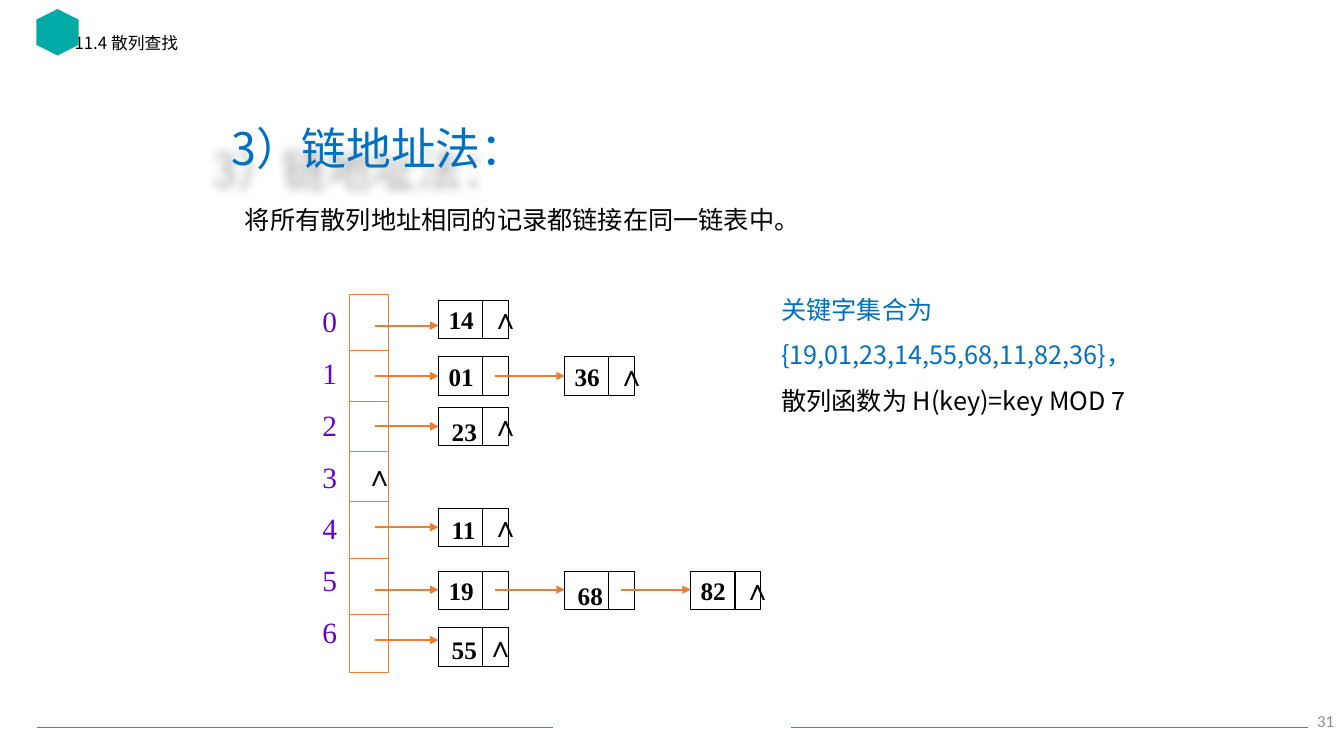
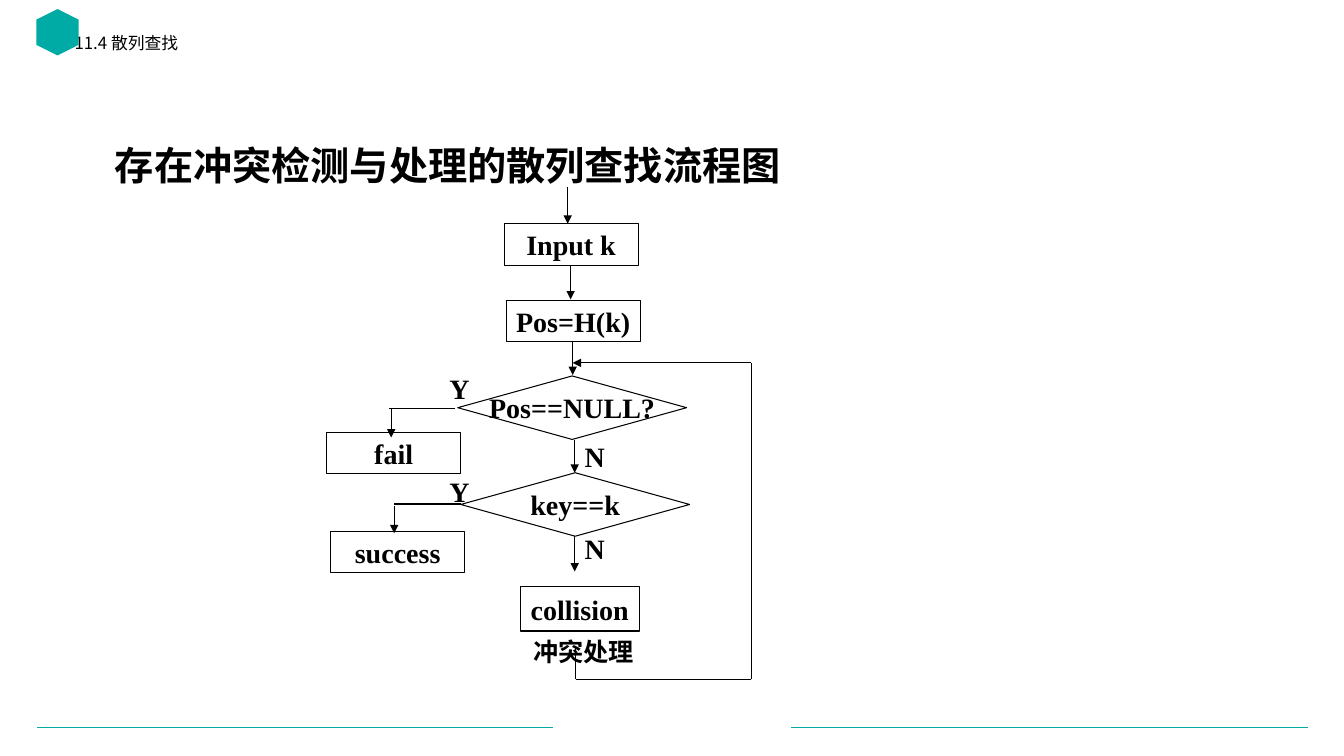
import pptx
import pptx.dml.color
import pptx.enum.shapes
import pptx.enum.text
import pptx.oxml.ns
import pptx.util
import lxml.etree

COLS, ROWS = 13.33, 7.5  # grid of one-inch cells
CELL = pptx.util.Inches(1)
TEAL, BLUE, ORANGE = "00ABA5", "0070C0", "ED7D31"
PURPLE, GRAY, BLACK = "6600CC", "8C8C8C", "000000"
HAN, ROMAN, SANS = "Noto Sans CJK SC", "Times New Roman", "Calibri"

FORM = pptx.enum.shapes.MSO_SHAPE
ALIGN = pptx.enum.text.PP_ALIGN
ANCHOR = pptx.enum.text.MSO_ANCHOR

# Chained hash table
SLOT_LEFT, SLOT_WIDE = 3.47, 0.38
SLOT_TOPS = [2.92, 3.48, 3.98, 4.48, 4.98, 5.54, 6.1, 6.67]
NODE_LEFT, NODE_STEP, NODE_WIDE, NODE_HIGH = 4.35, 1.25, 0.69, 0.38
CHAINS = [  # node top, arrow height, keys
    (2.98, 3.23, ["14"]),
    (3.54, 3.73, ["01", "36"]),
    (4.04, 4.23, ["23"]),
    (5.04, 5.23, ["11"]),
    (5.67, 5.85, ["19", "68", "82"]),
    (6.23, 6.35, ["55"]),
]
NUDGE = {"23": (0.03, 0.05), "11": (0.03, 0.02),
         "68": (0.03, 0.05), "55": (0.03, 0.02)}

# Flow chart
STEP_SIZE, TEST_SIZE = (1.33, 0.41), (2.27, 0.63)
STEPS = [
    ("Input k", 5, 2.22, STEP_SIZE),
    ("Pos=H(k)", 5.02, 2.98, STEP_SIZE),
    ("fail", 3.24, 4.29, STEP_SIZE),
    ("success", 3.28, 5.27, STEP_SIZE),
    ("collision", 5.16, 5.82, (1.18, 0.44)),
]
TESTS = [("Pos==NULL?", 4.54, 3.73), ("key==k", 4.57, 4.69)]
ANSWERS = [("Y", 4.36, 3.64), ("N", 5.7, 4.31),
           ("Y", 4.36, 4.66), ("N", 5.7, 5.22)]
DROPS = [(5.63, 1.86, 2.22), (5.66, 2.63, 2.97), (5.68, 3.38, 3.72),
         (5.7, 4.37, 4.69), (5.7, 5.32, 5.67),
         (3.88, 4.05, 4.34), (3.91, 5.02, 5.29)]
EXITS = [(4.51, 3.86, 4.05), (4.57, 3.91, 5)]
LOOP = [(5.71, 6.42), (5.71, 6.74), (7.45, 6.74), (7.45, 3.6), (5.68, 3.6)]


def span(*cells):
    return [int(n * CELL) for n in cells]


def tint(code):
    return pptx.dml.color.RGBColor.from_string(code)


def tag(parent, name, **attrs):
    return lxml.etree.SubElement(parent, pptx.oxml.ns.qn(name), attrs)


def word(frame, text, size=18, font=HAN, hue=BLACK, bold=False,
         align=ALIGN.LEFT, anchor=ANCHOR.TOP, wrap=True, indent=0,
         lead=None, after=0, shift=(0, 0)):
    """Fill a text frame, one paragraph a line; hue may list one colour a line."""
    frame.auto_size = pptx.enum.text.MSO_AUTO_SIZE.NONE
    frame.word_wrap, frame.vertical_anchor = wrap, anchor
    across, down = shift
    frame.margin_left, frame.margin_right = span(0.1 + across, 0.1)
    frame.margin_top, frame.margin_bottom = span(0.05 + 2 * down, 0.05)
    lines = text.split("\n")
    hues = hue if isinstance(hue, list) else [hue] * len(lines)
    for i, (line, code) in enumerate(zip(lines, hues)):
        para = frame.add_paragraph() if i else frame.paragraphs[0]
        para.alignment = align
        para.space_before = pptx.util.Pt(0)
        para.space_after = pptx.util.Pt(after)
        if lead:
            para.line_spacing = lead
        props = para._p.get_or_add_pPr()
        props.set("marL", str(int(indent * CELL)))
        props.set("indent", "0")
        tag(props, "a:buNone")
        run = para.add_run()
        run.text = line
        run.font.size, run.font.name = pptx.util.Pt(size), font
        run.font.bold, run.font.color.rgb = bold, tint(code)
        tag(run._r.get_or_add_rPr(), "a:ea", typeface=HAN)


def note(slide, text, left, top, wide, high, **form):
    box = slide.shapes.add_textbox(*span(left, top, wide, high))
    word(box.text_frame, text, **form)
    return box


def fill(holder, text, left, top, wide, high, **form):
    """Move a placeholder and give it its text."""
    holder.left, holder.top, holder.width, holder.height = span(
        left, top, wide, high)
    word(holder.text_frame, text, **form)


def box(slide, kind, left, top, wide, high, edge=BLACK, paint=None):
    shape = slide.shapes.add_shape(kind, *span(left, top, wide, high))
    shape.shadow.inherit = False
    if paint:
        shape.fill.solid()
        shape.fill.fore_color.rgb = tint(paint)
    else:
        shape.fill.background()
    if edge:
        shape.line.color.rgb = tint(edge)
        shape.line.width = pptx.util.Pt(0.75)
    else:
        shape.line.fill.background()
    return shape


def rule(slide, start, end, hue=BLACK, thick=0.75, arrow=False):
    line = slide.shapes.add_connector(
        pptx.enum.shapes.MSO_CONNECTOR.STRAIGHT, *span(*start, *end))
    line.line.color.rgb = tint(hue)
    line.line.width = pptx.util.Pt(thick)
    if arrow:
        tag(line.line._get_or_add_ln(), "a:tailEnd", type="triangle")
    tag(line._element.spPr, "a:effectLst")


def glow(shape):
    """Cast a soft shadow down and to the left."""
    effects = tag(shape._element.spPr, "a:effectLst")
    cast = tag(effects, "a:outerShdw", blurRad=str(int(0.1 * CELL)),
               dist=str(int(0.28 * CELL)), dir="8100000",
               algn="tr", rotWithShape="0")
    tag(tag(cast, "a:srgbClr", val=BLACK), "a:alpha", val="35000")


def page(deck):
    """Add a slide with the section title, the mark and the foot lines."""
    slide = deck.slides.add_slide(deck.slide_layouts[1])
    for left, right in ((0.37, 5.48), (7.85, 12.97)):
        rule(slide, (left, 7.22), (right, 7.22), TEAL, 0.5)
    mark = box(slide, FORM.HEXAGON, 0.34, 0.11, 0.46, 0.42,
               edge=None, paint=TEAL)
    mark.rotation = 90
    fill(slide.shapes.title, "11.4 散列查找", 0.64, 0.3, 5.32, 0.36,
         size=12, lead=0.9)
    return slide


def hat(slide, left, top):
    note(slide, "∧", left, top, 0.38, 0.45, size=21, font=ROMAN, wrap=False)


def node(slide, key, left, top):
    cell = box(slide, FORM.RECTANGLE, left, top, NODE_WIDE, NODE_HIGH)
    word(cell.text_frame, key, font=ROMAN, bold=True, anchor=ANCHOR.MIDDLE,
         shift=NUDGE.get(key, (0, 0)))
    split = left + 0.44
    rule(slide, (split, top), (split, top + NODE_HIGH))


def chain(slide, top, mid, keys):
    for i, key in enumerate(keys):
        left = NODE_LEFT + i * NODE_STEP
        node(slide, key, left, top)
        tail = left - (0.69 if i else 0.63)
        rule(slide, (tail, mid), (left, mid), ORANGE, 1.5, arrow=True)
    hat(slide, left + (0.37 if keys == ["55"] else 0.42), top - 0.05)


def table(slide):
    first, *inner, last = SLOT_TOPS
    box(slide, FORM.RECTANGLE, SLOT_LEFT, first, SLOT_WIDE, last - first,
        edge=ORANGE)
    for top in inner:
        rule(slide, (SLOT_LEFT, top), (SLOT_LEFT + SLOT_WIDE, top), ORANGE)
    note(slide, "\n".join(map(str, range(7))), 3.1, 2.96, 0.44, 3.64,
         size=21, font=ROMAN, hue=PURPLE, after=11.8)
    hat(slide, 3.52, 4.49)


def hashing(deck):
    slide = page(deck)
    fill(slide.placeholders[1], "将所有散列地址相同的记录都链接在同一链表中。",
         1.91, 1.92, 8.06, 0.43, indent=0.42, lead=1.2)
    note(slide, "31", 11.08, 6.95, 2.25, 0.4, size=12, font=SANS, hue=GRAY,
         align=ALIGN.RIGHT, anchor=ANCHOR.MIDDLE)
    table(slide)
    for top, mid, keys in CHAINS:
        chain(slide, top, mid, keys)
    note(slide, "关键字集合为\n{19,01,23,14,55,68,11,82,36}，\n"
         "散列函数为 H(key)=key MOD 7", 7.65, 2.72, 4.33, 1.46,
         hue=[BLUE, BLUE, BLACK], lead=1.5)
    glow(note(slide, "3）链地址法：", 1.2, 1.15, 3.8, 0.64,
              size=32, hue=BLUE, indent=1))


def flow(deck):
    slide = page(deck)
    fill(slide.placeholders[1], "存在冲突检测与处理的散列查找流程图",
         0.64, 1.4, 12.09, 5.53, size=28, font=SANS, bold=True,
         indent=0.4, lead=0.9)
    label = dict(size=20, font=ROMAN, bold=True, wrap=False)
    parts = [(FORM.FLOWCHART_PROCESS, *step) for step in STEPS]
    parts += [(FORM.FLOWCHART_DECISION, *test, TEST_SIZE) for test in TESTS]
    for kind, text, left, top, size in parts:
        shape = box(slide, kind, left, top, *size)
        word(shape.text_frame, text, align=ALIGN.CENTER,
             anchor=ANCHOR.MIDDLE, **label)
    for x, top, end in DROPS:
        rule(slide, (x, top), (x, end), arrow=True)
    for start, end, y in EXITS:
        rule(slide, (start, y), (end, y))
    for start, end in zip(LOOP, LOOP[1:]):
        rule(slide, start, end, arrow=end == LOOP[-1])
    for text, left, top in ANSWERS:
        note(slide, text, left, top, 0.4, 0.44, **label)
    note(slide, "冲突处理", 5.19, 6.26, 1.56, 0.5, font=SANS, bold=True,
         wrap=False)


def main():
    deck = pptx.Presentation()
    deck.slide_width, deck.slide_height = span(COLS, ROWS)
    hashing(deck)
    flow(deck)
    deck.save("out.pptx")


if __name__ == "__main__":
    main()
